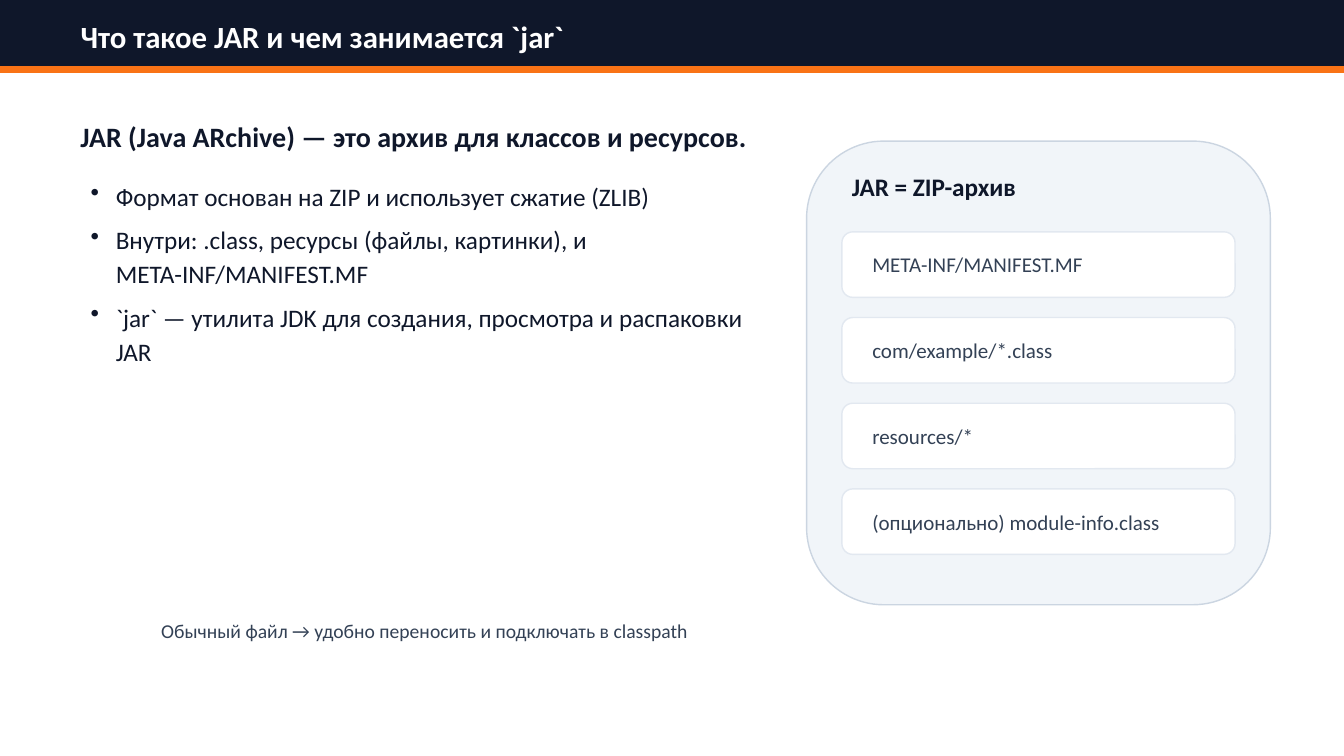
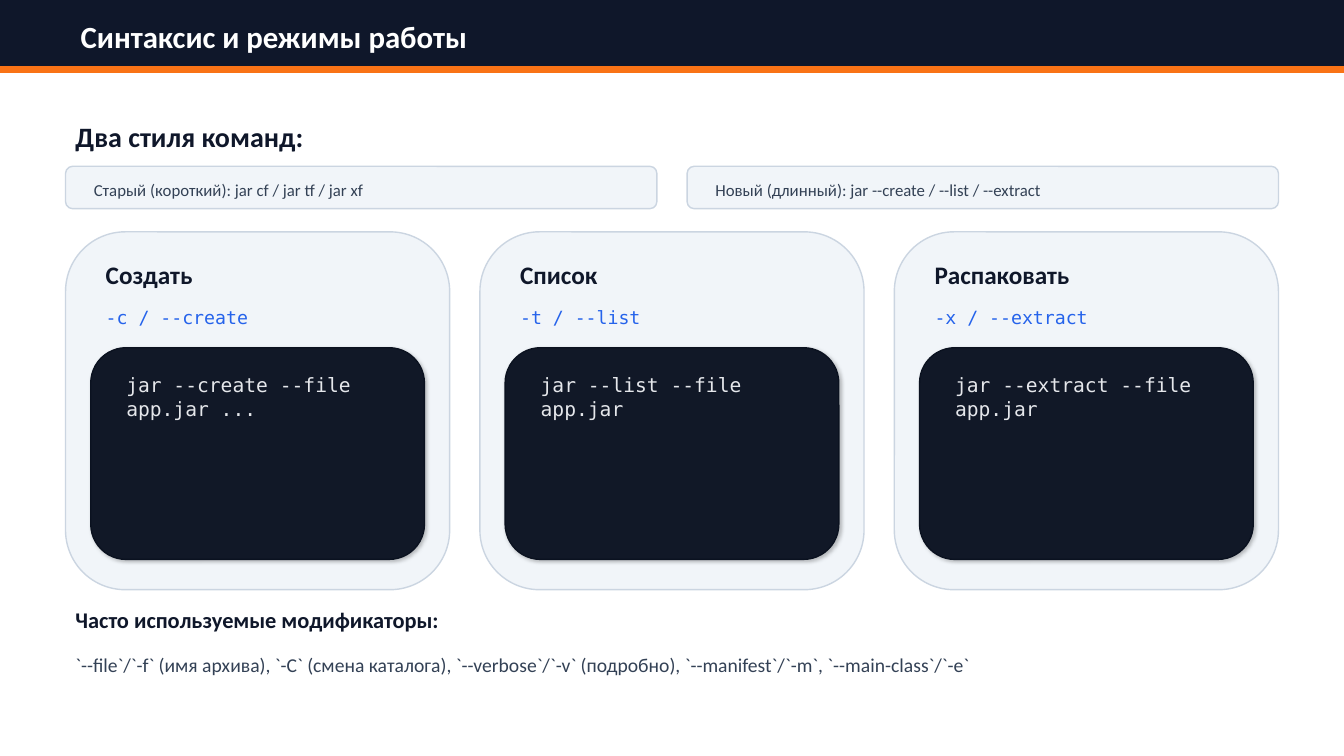
from lxml import etree
from pptx import Presentation
from pptx.dml.color import RGBColor
from pptx.enum.shapes import MSO_SHAPE
from pptx.enum.text import MSO_ANCHOR, MSO_AUTO_SIZE, PP_ALIGN
from pptx.oxml.ns import qn
from pptx.util import Inches, Pt

RECT, ROUND = MSO_SHAPE.RECTANGLE, MSO_SHAPE.ROUNDED_RECTANGLE
TOP, MIDDLE = MSO_ANCHOR.TOP, MSO_ANCHOR.MIDDLE
LEFT, NO_FIT = PP_ALIGN.LEFT, MSO_AUTO_SIZE.NONE

WIDTH, HEIGHT = 13.33, 7.5
SANS, MONO = "Calibri", "DejaVu Sans Mono"
INK, SLATE, WHITE = "0F172A", "334155", "FFFFFF"
ORANGE, BLUE = "F97316", "2563EB"
PANEL, PANEL_LINE, ROW_LINE = "F1F5F9", "CBD5E1", "E2E8F0"
CODE, CODE_LINE, CODE_TEXT = "111827", "0B1220", "E5E7EB"


def rgb(value):
    """Turn a hex string into a colour."""
    return RGBColor.from_string(value)


class Deck:
    """Hold the presentation, its style and the current slide."""

    def __init__(self):
        """Start an empty widescreen presentation."""
        self.prs = Presentation()
        self.prs.slide_width = Inches(WIDTH)
        self.prs.slide_height = Inches(HEIGHT)
        self.s = None

    def slide(self, title):
        """Add a slide with the header bands and its title."""
        self.s = self.prs.slides.add_slide(self.prs.slide_layouts[5])
        self.box(0, 0, WIDTH, 0.72, INK, INK, RECT)
        stripe = self.box(0, 0.66, WIDTH, 0.06, ORANGE, ORANGE, RECT)
        sp = self.s.shapes.title
        stripe.element.addnext(sp.element)
        sp.left, sp.top = Inches(0.7), Inches(0.16)
        sp.width, sp.height = Inches(11.93), Inches(0.4)
        self.set_text(sp, title, 22, WHITE, bold=True)

    def set_text(self, sp, text, size, color, font=SANS, bold=False, anchor=MIDDLE):
        """Set and format the text of a shape."""
        tf = sp.text_frame
        tf.text = text
        tf.word_wrap = True
        tf.auto_size = NO_FIT
        tf.vertical_anchor = anchor
        for p in tf.paragraphs:
            p.alignment = LEFT
            for r in p.runs:
                r.font.name, r.font.size, r.font.bold = font, Pt(size), bold
                r.font.color.rgb = rgb(color)

    def text(self, x, y, w, h, text, size, color=INK, **style):
        """Add a text box."""
        sp = self.s.shapes.add_textbox(Inches(x), Inches(y), Inches(w), Inches(h))
        self.set_text(sp, text, size, color, **style)
        return sp

    def heading(self, x, y, w, h, text, size):
        """Add a bold heading."""
        self.text(x, y, w, h, text, size, bold=True)

    def bullets(self, x, y, w, h, items, size):
        """Add a bulleted list."""
        sp = self.text(x, y, w, h, "\n".join(items), size, anchor=TOP)
        for p in sp.text_frame.paragraphs:
            p.line_spacing = 1.15
            p.space_after = Pt(6)
            pPr = p._p.get_or_add_pPr()
            pPr.set("marL", str(Inches(0.25)))
            pPr.set("indent", str(-Inches(0.25)))
            etree.SubElement(pPr, qn("a:buChar")).set("char", "•")

    def box(self, x, y, w, h, fill=PANEL, line=PANEL_LINE, kind=ROUND):
        """Add a filled and outlined shape."""
        sp = self.s.shapes.add_shape(kind, Inches(x), Inches(y), Inches(w), Inches(h))
        sp.shadow.inherit = False
        sp.fill.solid()
        sp.fill.fore_color.rgb = rgb(fill)
        sp.line.color.rgb = rgb(line)
        sp.line.width = Pt(1)
        return sp

    def label(self, sp, text, size, color, left, top=0.05, **style):
        """Put text inside a shape with its own side and top insets."""
        tf = sp.text_frame
        tf.margin_left = tf.margin_right = Inches(left)
        tf.margin_top = Inches(top)
        self.set_text(sp, text, size, color, **style)

    def code(self, x, y, w, h, text):
        """Add a dark code block with a soft shadow."""
        sp = self.box(x, y, w, h, CODE, CODE_LINE)
        self.label(sp, text, 14, CODE_TEXT, 0.25, 0.15, font=MONO, anchor=TOP)
        effects = sp.element.spPr.find(qn("a:effectLst"))
        shadow = etree.SubElement(effects, qn("a:outerShdw"), blurRad=str(Pt(3)),
                                  dist=str(Pt(1.5)), dir="2700000",
                                  algn="ctr", rotWithShape="0")
        color = etree.SubElement(shadow, qn("a:srgbClr"), val="000000")
        etree.SubElement(color, qn("a:alpha"), val="25000")


def jar_slide(deck):
    """Explain what a JAR holds."""
    deck.slide("Что такое JAR и чем занимается `jar`")
    deck.heading(0.7, 1.05, 7, 0.6,
                 "JAR (Java ARchive) — это архив для классов и ресурсов.", 20)
    deck.bullets(0.8, 1.7, 6.9, 2.4, [
        "Формат основан на ZIP и использует сжатие (ZLIB)",
        "Внутри: .class, ресурсы (файлы, картинки), и META-INF/MANIFEST.MF",
        "`jar` — утилита JDK для создания, просмотра и распаковки JAR",
    ], 18)
    deck.box(8, 1.4, 4.6, 4.6)
    deck.heading(8.35, 1.65, 3.9, 0.4, "JAR = ZIP-архив", 18)
    entries = ["META-INF/MANIFEST.MF", "com/example/*.class", "resources/*",
               "(опционально) module-info.class"]
    for i, entry in enumerate(entries):
        row = deck.box(8.35, 2.3 + i * 0.85, 3.9, 0.65, WHITE, ROW_LINE)
        deck.label(row, entry, 15, SLATE, 0.27)
    deck.text(1.5, 6.08, 11.8, 0.35,
              "Обычный файл → удобно переносить и подключать в classpath", 14, SLATE)


def syntax_slide(deck):
    """Show the command styles and the three modes."""
    x0, gap = 0.65, 0.3
    width = WIDTH - 2 * x0
    deck.slide("Синтаксис и режимы работы")
    deck.heading(x0, 1.15, width, 0.4, "Два стиля команд:", 20)

    styles = ["Старый (короткий): jar cf / jar tf / jar xf",
              "Новый (длинный): jar --create / --list / --extract"]
    style_w = (width - gap) / 2
    for i, style in enumerate(styles):
        pill = deck.box(x0 + i * (style_w + gap), 1.65, style_w, 0.42)
        deck.label(pill, style, 12, SLATE, 0.26, 0.09)

    modes = [
        ("Создать", "-c / --create", "jar --create --file app.jar ..."),
        ("Список", "-t / --list", "jar --list --file app.jar"),
        ("Распаковать", "-x / --extract", "jar --extract --file app.jar"),
    ]
    card_w = (width - 2 * gap) / 3
    for i, (name, option, command) in enumerate(modes):
        x = x0 + i * (card_w + gap)
        deck.box(x, 2.3, card_w, 3.55)
        deck.heading(x + 0.3, 2.55, card_w - 0.6, 0.35, name, 18)
        deck.text(x + 0.3, 3, card_w - 0.6, 0.3, option, 13, BLUE, font=MONO)
        deck.code(x + 0.25, 3.45, card_w - 0.5, 2.1, command)

    deck.heading(x0, 6, width, 0.3, "Часто используемые модификаторы:", 16)
    deck.text(x0, 6.34, width, 0.5,
              "`--file`/`-f` (имя архива), `-C` (смена каталога), "
              "`--verbose`/`-v` (подробно), `--manifest`/`-m`, "
              "`--main-class`/`-e`", 14, SLATE)


def main():
    """Build and save the slides."""
    deck = Deck()
    jar_slide(deck)
    syntax_slide(deck)
    deck.prs.save("out.pptx")


if __name__ == "__main__":
    main()
